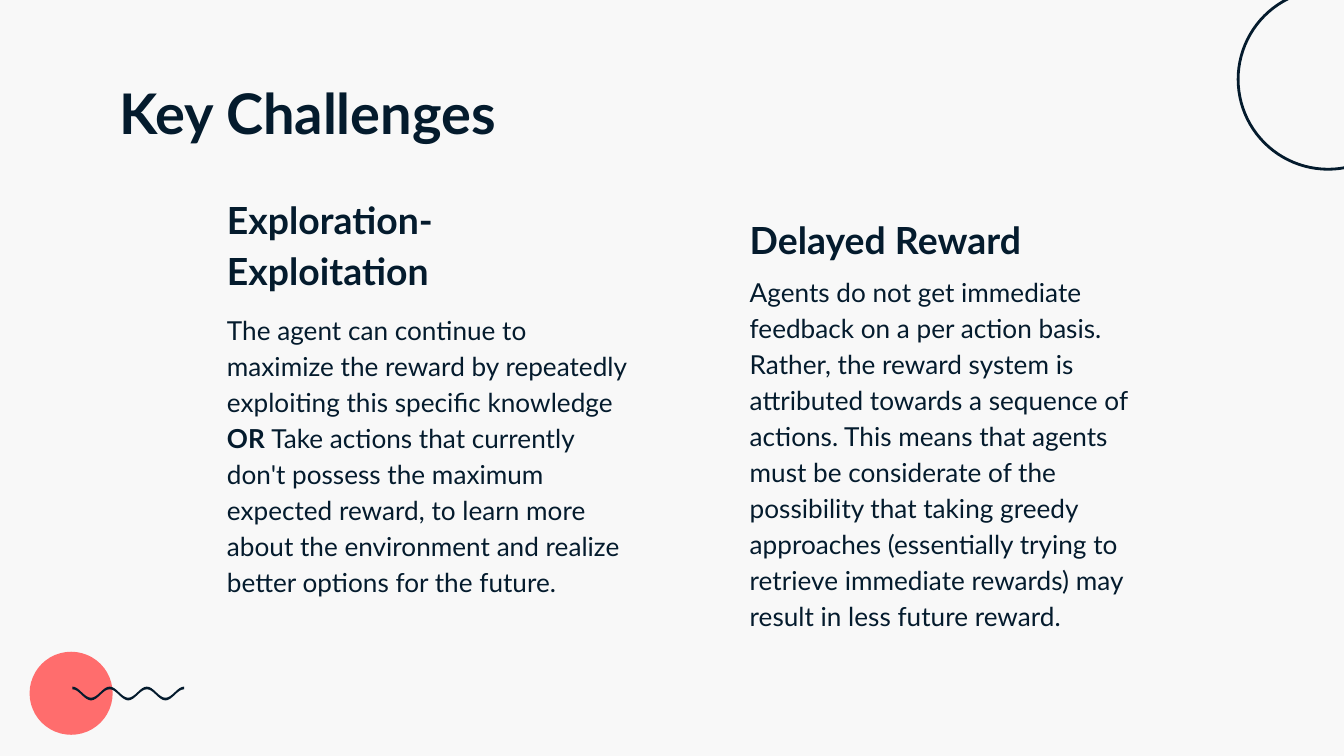
from math import cos, pi

from pptx import Presentation
from pptx.dml.color import RGBColor
from pptx.enum.shapes import MSO_SHAPE as Preset
from pptx.enum.text import MSO_ANCHOR as Anchor
from pptx.util import Cm, Pt

NAVY = RGBColor(0x04, 0x1B, 0x2D)
CORAL = RGBColor(0xFF, 0x6D, 0x6D)
PAPER = RGBColor(0xF8, 0xF8, 0xF8)

TITLE = {"size": Pt(30), "bold": True}
HEADING = {"size": Pt(20), "bold": True}
BODY = {"size": Pt(14), "bold": False}

CHALLENGES = [
    {
        "left": 4.04,
        "heading_top": 3.96,
        "body_top": 5.61,
        "body_height": 6.4,
        "heading": "Exploration-Exploitation",
        "body": [
            ("The agent can continue to maximize the reward by repeatedly "
             "exploiting this specific knowledge ", False),
            ("OR ", True),
            ("Take actions that currently don't possess the maximum expected "
             "reward, to learn more about the environment and realize better "
             "options for the future.", False),
        ],
    },
    {
        "left": 13.92,
        "heading_top": 3.38,
        "body_top": 4.88,
        "body_height": 7.26,
        "heading": "Delayed Reward",
        "body": [
            ("Agents do not get immediate feedback on a per action basis. "
             "Rather, the reward system is attributed towards a sequence of "
             "actions. This means that agents must be considerate of the "
             "possibility that taking greedy approaches (essentially trying "
             "to retrieve immediate rewards) may result in less future "
             "reward.", False),
        ],
    },
]


class SlideBuilder:
    """Draws the elements of one slide in a shared style."""

    font_name = "Lato"
    inset = Cm(0.25)

    def __init__(self, presentation):
        self.slide = presentation.slides.add_slide(presentation.slide_layouts[6])
        background = self.slide.background.fill
        background.solid()
        background.fore_color.rgb = PAPER

    def text(self, left, top, width, height, runs, style,
             anchor=Anchor.TOP, line_spacing=1.15):
        box = self.slide.shapes.add_textbox(Cm(left), Cm(top), Cm(width), Cm(height))
        frame = box.text_frame
        frame_format = {"word_wrap": True, "vertical_anchor": anchor}
        for side in ("left", "top", "right", "bottom"):
            frame_format[f"margin_{side}"] = self.inset
        for name, value in frame_format.items():
            setattr(frame, name, value)
        paragraph = frame.paragraphs[0]
        paragraph.line_spacing = line_spacing
        for words, bold in runs:
            run = paragraph.add_run()
            run.text = words
            run_format = {"name": self.font_name, **style, "bold": bold}
            for name, value in run_format.items():
                setattr(run.font, name, value)
            run.font.color.rgb = NAVY

    def paint(self, shape, fill=None, line=None):
        shape.shadow.inherit = False
        if fill is None:
            shape.fill.background()
        else:
            shape.fill.solid()
            shape.fill.fore_color.rgb = fill
        if line is None:
            shape.line.fill.background()
        else:
            shape.line.color.rgb = line
            shape.line.width = Pt(1.5)

    def circle(self, left, top, diameter, fill=None, line=None, group=None):
        shapes = (group or self.slide).shapes
        shape = shapes.add_shape(
            Preset.OVAL, Cm(left), Cm(top), Cm(diameter), Cm(diameter))
        self.paint(shape, fill, line)

    def wave(self, left, top, width, height, thickness, periods, group):
        steps = periods * 16
        amplitude = (height - thickness) / 2
        crest = [
            (left + width * step / steps,
             top + amplitude * (1 - cos(2 * pi * periods * step / steps)))
            for step in range(steps + 1)
        ]
        trough = [(x, y + thickness) for x, y in reversed(crest)]
        points = [(Cm(x), Cm(y)) for x, y in crest + trough]
        builder = group.shapes.build_freeform(*points[0])
        builder.add_line_segments(points[1:], close=True)
        self.paint(builder.convert_to_shape(), NAVY)

    def corner_ornament(self):
        group = self.slide.shapes.add_group_shape()
        self.circle(0.56, 12.32, 1.57, fill=CORAL, group=group)
        self.wave(1.37, 12.98, 2.11, 0.26, 0.05, 3, group)

    def challenge(self, left, heading_top, body_top, body_height, heading, body):
        self.text(left, body_top, 8.28, body_height, body, BODY)
        self.text(left, heading_top, 6.4, 1.83, [(heading, True)], HEADING,
                  anchor=Anchor.BOTTOM)


def main():
    presentation = Presentation()
    presentation.slide_width = Cm(25.4)
    presentation.slide_height = Cm(14.29)
    builder = SlideBuilder(presentation)
    builder.circle(23.4, -0.2, 3.4, line=NAVY)
    builder.text(2, 1.24, 21.4, 1.6, [("Key Challenges", True)], TITLE,
                 line_spacing=1)
    for challenge in CHALLENGES:
        builder.challenge(**challenge)
    builder.corner_ornament()
    presentation.save("out.pptx")


if __name__ == "__main__":
    main()
